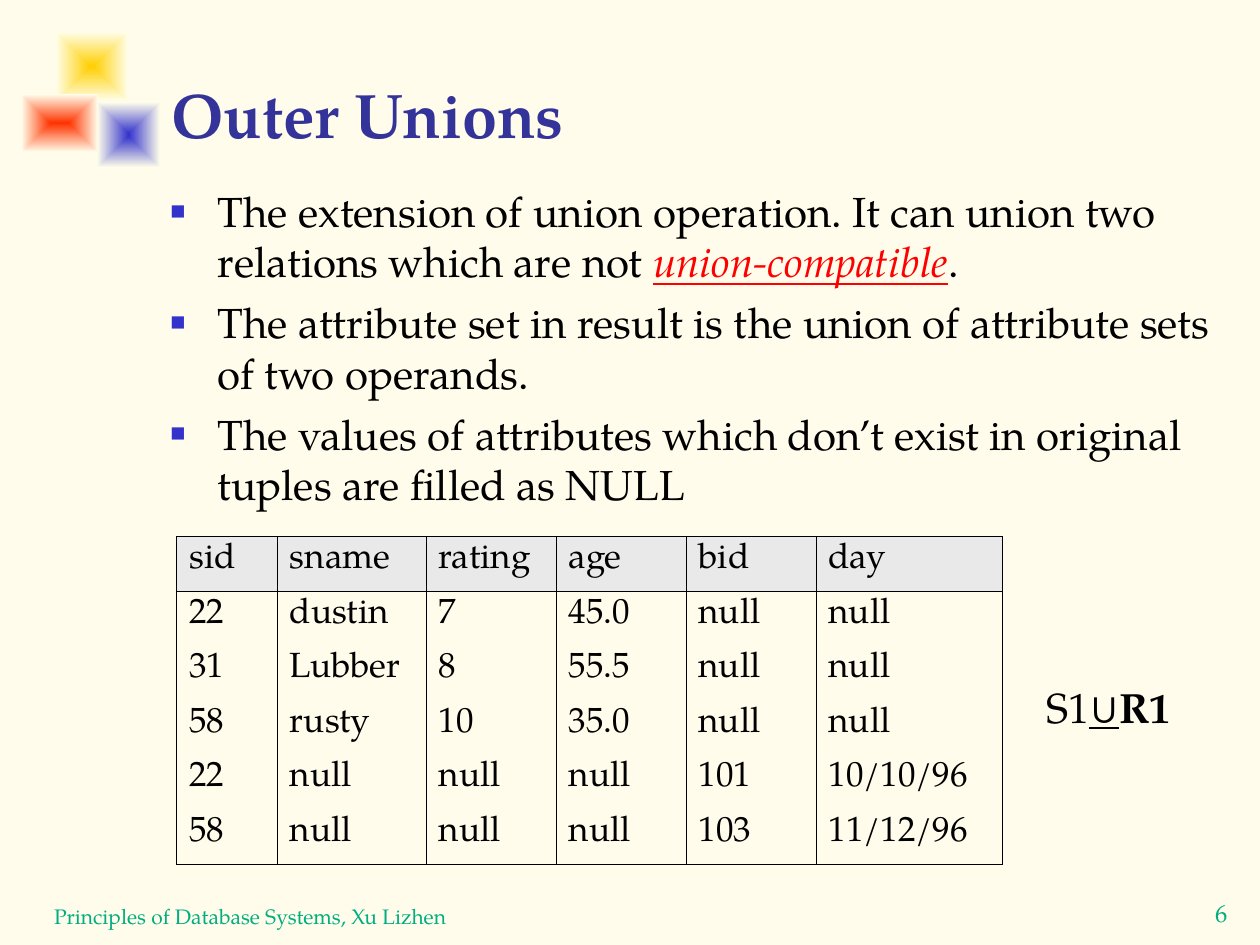
from lxml import etree
from pptx import Presentation
from pptx import util as u
from pptx.dml.color import RGBColor
from pptx.enum import shapes, text
from pptx.oxml import parse_xml
from pptx.oxml.ns import nsdecls, qn

FONT = "TeX Gyre Pagella"
CREAM = RGBColor(0xFF, 0xFC, 0xEB)
FADE = RGBColor(0xFF, 0xFE, 0xEB)
GOLD = RGBColor(0xFF, 0xCF, 0x01)
BLUE = RGBColor(0x33, 0x33, 0xCC)
ORANGE = RGBColor(0xFF, 0x33, 0x00)
NAVY = RGBColor(0x33, 0x33, 0x99)
GREEN = RGBColor(0x00, 0xAE, 0x80)
RED = RGBColor(0xFF, 0x00, 0x00)
BLACK = RGBColor(0x00, 0x00, 0x00)
GRAY = RGBColor(0xE9, 0xE9, 0xE9)

THIN, THICK = 0.45, 0.96
COLS = [2.03, 3, 2.62, 2.62, 2.62, 3.76]
ROW = 1.1
ROWS = [
    ["sid", "sname", "rating", "age", "bid", "day"],
    ["22", "dustin", "7", "45.0", "null", "null"],
    ["31", "Lubber", "8", "55.5", "null", "null"],
    ["58", "rusty", "10", "35.0", "null", "null"],
    ["22", "null", "null", "null", "101", "10/10/96"],
    ["58", "null", "null", "null", "103", "11/12/96"],
]
POINTS = [
    [("The extension of union operation. It can union two relations which are not ", {}),
     ("union-compatible", {"color": RED, "italic": True, "underline": True}),
     (".", {})],
    [("The attribute set in result is the union of attribute sets of two operands.", {})],
    [("The values of attributes which don’t exist in original tuples are filled as NULL", {})],
]
LABEL = [("S1", {}),
         ("∪", {"name": "Arial", "bold": True, "underline": True}),
         ("R1 ", {"bold": True})]


def style(run, size, color=BLACK, name=FONT, bold=False, italic=False, underline=False):
    font = run.font
    font.size, font.name = u.Pt(size), name
    font.bold, font.italic, font.underline = bold, italic, underline
    font.color.rgb = color


def write(para, parts, size):
    for words, look in parts:
        run = para.add_run()
        run.text = words
        style(run, size, **look)


def place(shape, box):
    shape.left, shape.top, shape.width, shape.height = map(u.Cm, box)


def add_glow(slide, box, color):
    """Square that fades from its centre into the background."""
    shape = slide.shapes.add_shape(shapes.MSO_SHAPE.RECTANGLE, *map(u.Cm, box))
    shape.shadow.inherit = False
    shape.line.fill.background()
    shape.fill.gradient()
    grad = shape.fill._xPr.find(qn("a:gradFill"))
    for stop, shade in zip(shape.fill.gradient_stops, (color, FADE)):
        stop.color.rgb = shade
    for stop, spot in zip(shape.fill.gradient_stops, (0, 1)):
        stop.position = spot
    grad.replace(grad.find(qn("a:lin")), parse_xml(
        f'<a:path {nsdecls("a")} path="rect">'
        '<a:fillToRect l="50000" t="50000" r="50000" b="50000"/></a:path>'))


def add_text(slide, box, parts, size, align=text.PP_ALIGN.LEFT,
             anchor=text.MSO_ANCHOR.TOP, wrap=False):
    frame = slide.shapes.add_textbox(*map(u.Cm, box)).text_frame
    frame.word_wrap = wrap
    frame.vertical_anchor = anchor
    frame.paragraphs[0].alignment = align
    write(frame.paragraphs[0], parts, size)


def set_title(slide, box, words):
    title = slide.shapes.title
    place(title, box)
    frame = title.text_frame
    frame.text = words
    frame.auto_size = text.MSO_AUTO_SIZE.NONE
    frame.vertical_anchor = text.MSO_ANCHOR.BOTTOM
    frame.paragraphs[0].alignment = text.PP_ALIGN.LEFT
    style(frame.paragraphs[0].runs[0], 36, NAVY, bold=True)


def set_bullet(para):
    props = para._p.get_or_add_pPr()
    props.set("marL", str(u.Cm(0.95)))
    props.set("indent", str(u.Cm(-0.95)))
    color = etree.SubElement(props, qn("a:buClr"))
    etree.SubElement(color, qn("a:srgbClr"), val=str(BLUE))
    etree.SubElement(props, qn("a:buSzPct"), val="60000")
    etree.SubElement(props, qn("a:buFont"), typeface="Arial")
    etree.SubElement(props, qn("a:buChar"), char="■")


def set_body(slide, box, points):
    body = slide.placeholders[1]
    place(body, box)
    frame = body.text_frame
    frame.auto_size = text.MSO_AUTO_SIZE.NONE
    for i, parts in enumerate(points):
        para = frame.add_paragraph() if i else frame.paragraphs[0]
        para.space_before = u.Pt(6)
        set_bullet(para)
        write(para, parts, 24)


def set_edges(cell, widths):
    """Borders in the order left, right, top, bottom; 0 means none."""
    props = cell._tc.get_or_add_tcPr()
    for i, (side, width) in enumerate(zip("LRTB", widths)):
        line = etree.Element(qn(f"a:ln{side}"), w=str(u.Pt(width)))
        if width:
            fill = etree.SubElement(line, qn("a:solidFill"))
            etree.SubElement(fill, qn("a:srgbClr"), val=str(BLACK))
        else:
            etree.SubElement(line, qn("a:noFill"))
        props.insert(i, line)


def add_grid(slide, left, top):
    last, end = len(ROWS) - 1, len(COLS) - 1
    table = slide.shapes.add_table(
        len(ROWS), len(COLS), u.Cm(left), u.Cm(top),
        u.Cm(sum(COLS)), u.Cm(ROW * len(ROWS))).table
    table.first_row = table.horz_banding = False
    for col, width in zip(table.columns, COLS):
        col.width = u.Cm(width)
    for r, row in enumerate(ROWS):
        table.rows[r].height = u.Cm(ROW)
        for c, words in enumerate(row):
            cell = table.cell(r, c)
            cell.text = words
            style(cell.text_frame.paragraphs[0].runs[0], 20)
            if r == 0:
                cell.fill.solid()
                cell.fill.fore_color.rgb = GRAY
            else:
                cell.fill.background()
            set_edges(cell, (THICK if c == 0 else THIN,
                             THICK if c == end else THIN,
                             THIN if r < 2 else 0,
                             THIN if r in (0, last) else 0))


def main():
    deck = Presentation()
    deck.slide_width, deck.slide_height = u.Cm(25.4), u.Cm(19.05)
    slide = deck.slides.add_slide(deck.slide_layouts[1])
    slide.background.fill.solid()
    slide.background.fill.fore_color.rgb = CREAM

    # Corner squares
    add_glow(slide, (1.12, 0.64, 1.47, 1.4), GOLD)
    add_glow(slide, (1.96, 2.06, 1.27, 1.32), BLUE)
    add_glow(slide, (0.43, 1.9, 1.55, 1.17), ORANGE)

    # Title and list
    set_title(slide, (3.2, 0.43, 21.64, 2.74), "Outer Unions")
    set_body(slide, (3.18, 3.61, 21.72, 7.34), POINTS)

    # Result relation and its label
    add_grid(slide, 3.56, 10.82)
    add_text(slide, (20.75, 13.61, 3.4, 1.27), LABEL, 24, text.PP_ALIGN.CENTER)

    # Footer and page number
    add_text(slide, (0.84, 17.58, 16.51, 1.27),
             [("Principles of Database Systems, Xu Lizhen", {"color": GREEN})], 12,
             anchor=text.MSO_ANCHOR.BOTTOM, wrap=True)
    add_text(slide, (23.11, 17.98, 3.02, 0.97), [("6", {"color": GREEN})], 14,
             text.PP_ALIGN.CENTER)
    deck.save("out.pptx")


if __name__ == "__main__":
    main()
